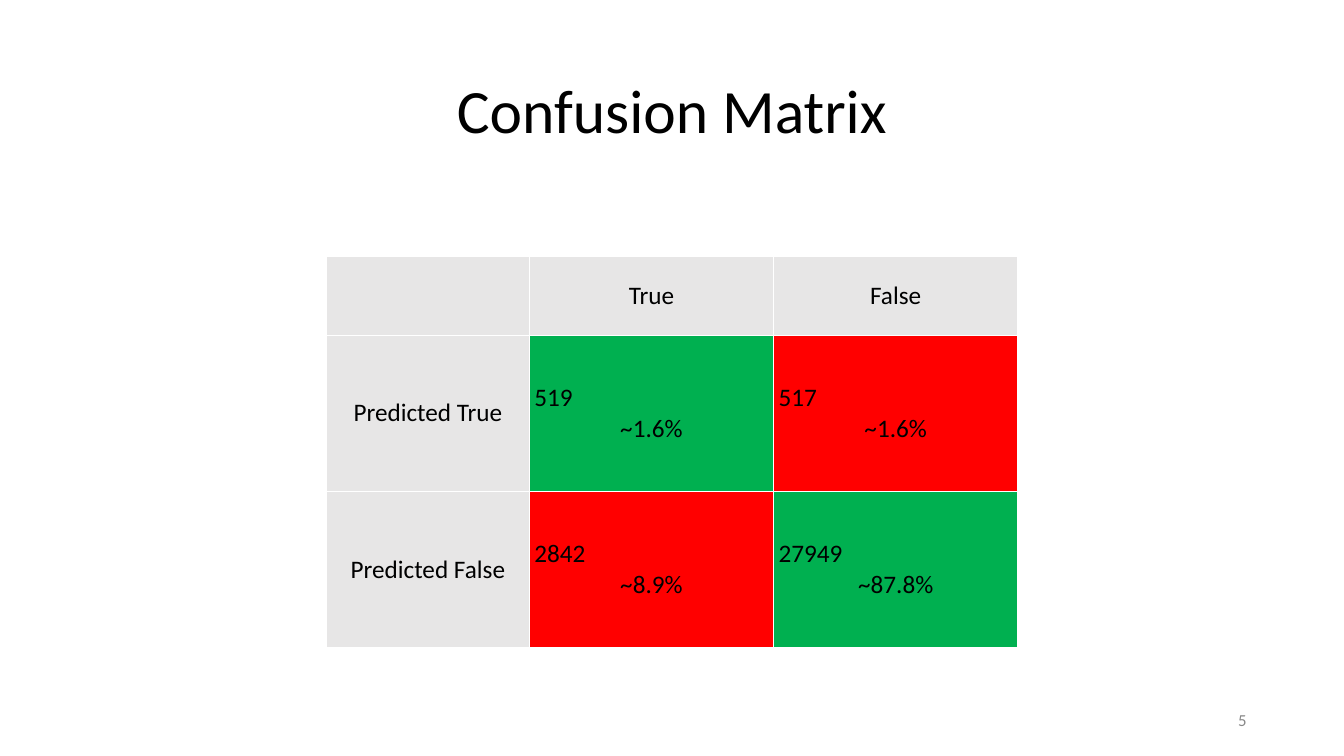
from lxml import etree
from pptx import Presentation
from pptx.dml.color import RGBColor
from pptx.enum import text as t
from pptx.oxml.ns import qn
from pptx.util import Pt


class Theme:
    """Colours, font and type sizes of the slide."""
    font = "Calibri"
    black, white, mute = "000000", "FFFFFF", "888888"
    head, right, wrong = "E7E6E6", "00B050", "FF0000"
    title, body, small = 44, 18, 12
    inset = 3.6


def write(frame, *lines, size=Theme.body, color=Theme.black,
          aligns=("CENTER",), space=1.0, wrap=True):
    """Fill a text frame, one paragraph for each line and alignment."""
    frame.word_wrap = wrap
    for i, (line, align) in enumerate(zip(lines, aligns)):
        para = frame.add_paragraph() if i else frame.paragraphs[0]
        para.alignment = t.PP_ALIGN[align]
        para.line_spacing = space
        run = para.add_run()
        run.text = line
        run.font.name = Theme.font
        run.font.size = Pt(size)
        run.font.color.rgb = RGBColor.from_string(color)


def style(cell, fill):
    """Give a cell its fill, insets, anchor and thin white borders."""
    cell.margin_left = cell.margin_right = Pt(Theme.inset)
    cell.margin_top = cell.margin_bottom = Pt(Theme.inset)
    cell.vertical_anchor = t.MSO_ANCHOR.MIDDLE
    props = cell._tc.get_or_add_tcPr()
    for side in ("a:lnL", "a:lnR", "a:lnT", "a:lnB"):
        line = etree.SubElement(props, qn(side), w=str(Pt(1)))
        paint = etree.SubElement(line, qn("a:solidFill"))
        etree.SubElement(paint, qn("a:srgbClr"), val=Theme.white)
    cell.fill.solid()
    cell.fill.fore_color.rgb = RGBColor.from_string(fill)


deck = Presentation()
deck.slide_width, deck.slide_height = Pt(960), Pt(540)
slide = deck.slides.add_slide(deck.slide_layouts[5])

# Title
title = slide.shapes.title
title.left, title.top, title.width, title.height = Pt(66), Pt(28.8), Pt(828), Pt(104.4)
title.text_frame.vertical_anchor = t.MSO_ANCHOR.MIDDLE
write(title.text_frame, "Confusion Matrix", size=Theme.title, space=0.9)

# Matrix: hits on the diagonal, misses off it
names = ("True", "False")
counts = (("519", "517"), ("2842", "27949"))
shares = (("~1.6%", "~1.6%"), ("~8.9%", "~87.8%"))
widths, heights = (144.8, 174.5, 174.5), (56.4, 111.7, 111.7)
grid = slide.shapes.add_table(3, 3, Pt(233.3), Pt(183), Pt(sum(widths)), Pt(sum(heights))).table
grid.first_row = grid.horz_banding = False
for i in range(3):
    grid.columns[i].width = Pt(widths[i])
    grid.rows[i].height = Pt(heights[i])

style(grid.cell(0, 0), Theme.head)
for i, name in enumerate(names):
    for cell, label in ((grid.cell(0, i + 1), name), (grid.cell(i + 1, 0), f"Predicted {name}")):
        style(cell, Theme.head)
        write(cell.text_frame, label)
    for j in range(2):
        cell = grid.cell(i + 1, j + 1)
        style(cell, Theme.right if i == j else Theme.wrong)
        write(cell.text_frame, counts[i][j], shares[i][j], aligns=("LEFT", "CENTER"))

# Slide number
box = slide.shapes.add_textbox(Pt(879.8), Pt(504), Pt(14.4), Pt(20.9))
frame = box.text_frame
frame.margin_left = frame.margin_right = Pt(Theme.inset)
frame.margin_top = frame.margin_bottom = Pt(Theme.inset)
frame.vertical_anchor = t.MSO_ANCHOR.MIDDLE
frame.auto_size = t.MSO_AUTO_SIZE.SHAPE_TO_FIT_TEXT
write(frame, "5", size=Theme.small, color=Theme.mute, aligns=("RIGHT",), wrap=False)

deck.save("out.pptx")
